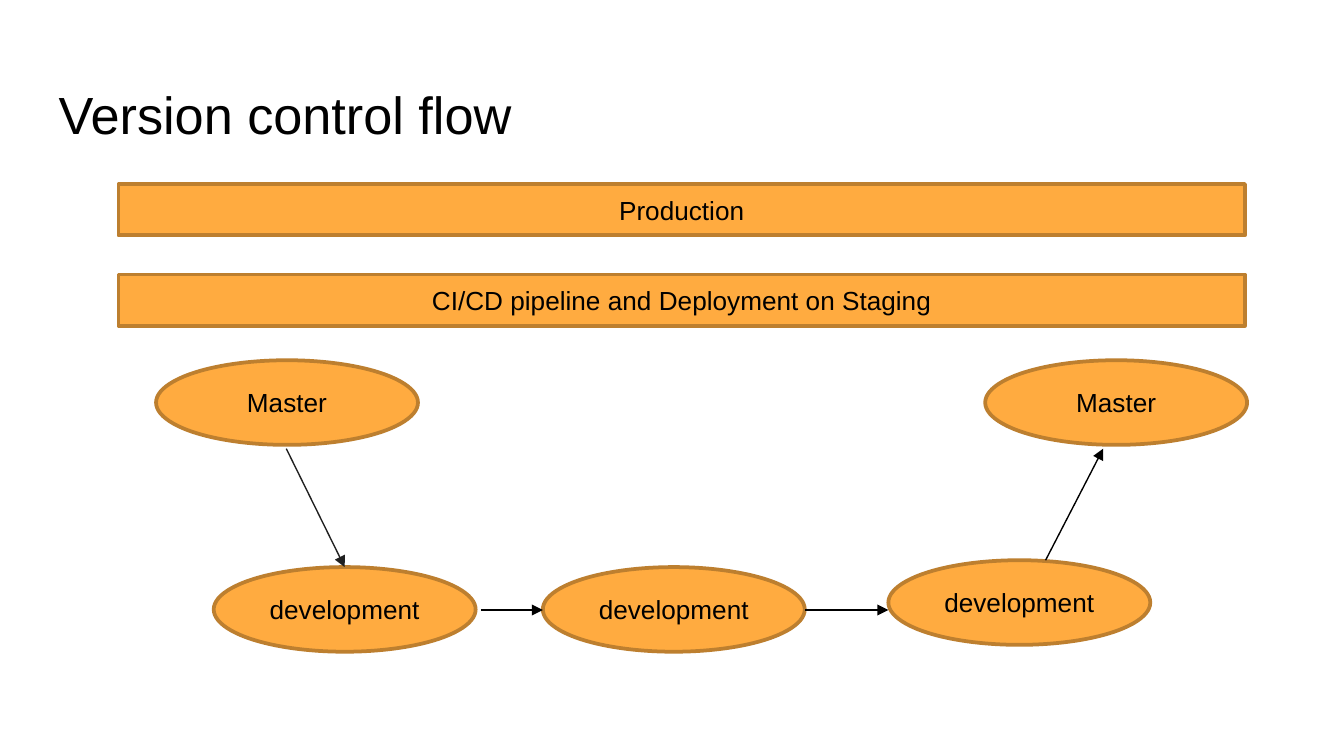
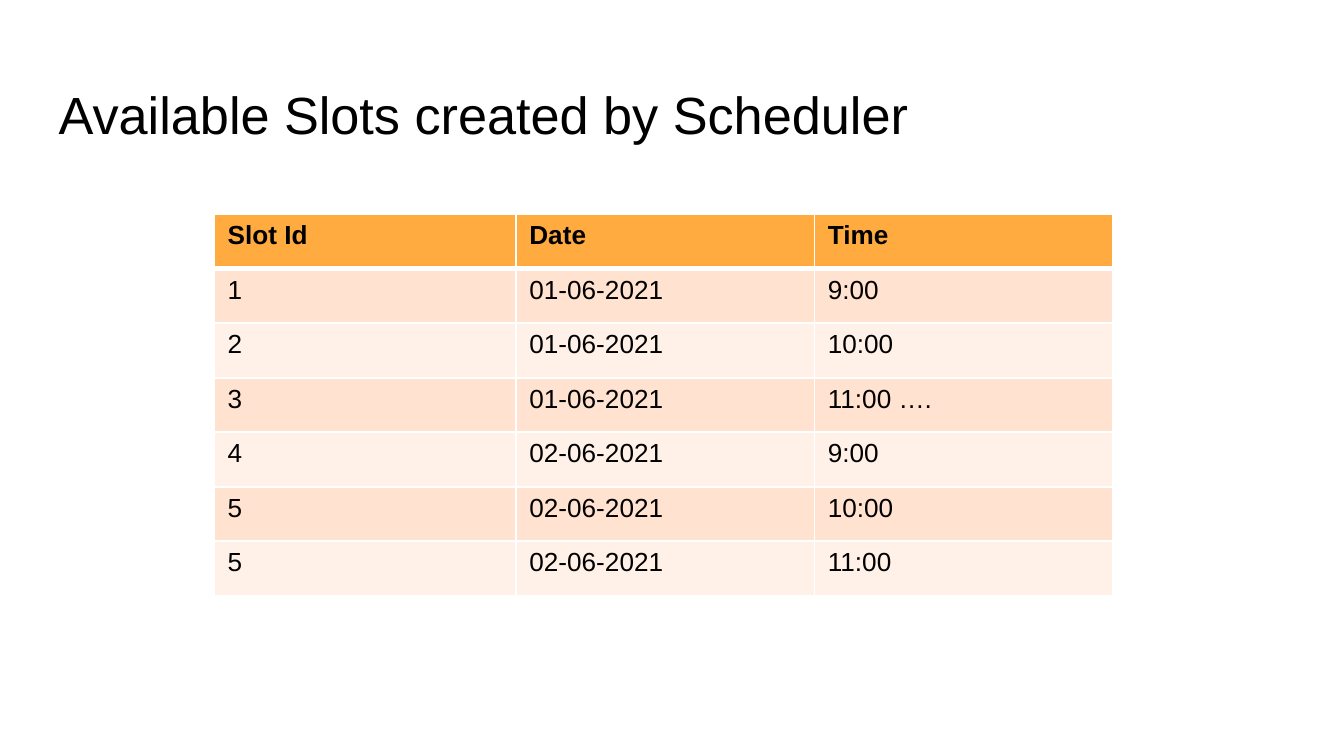
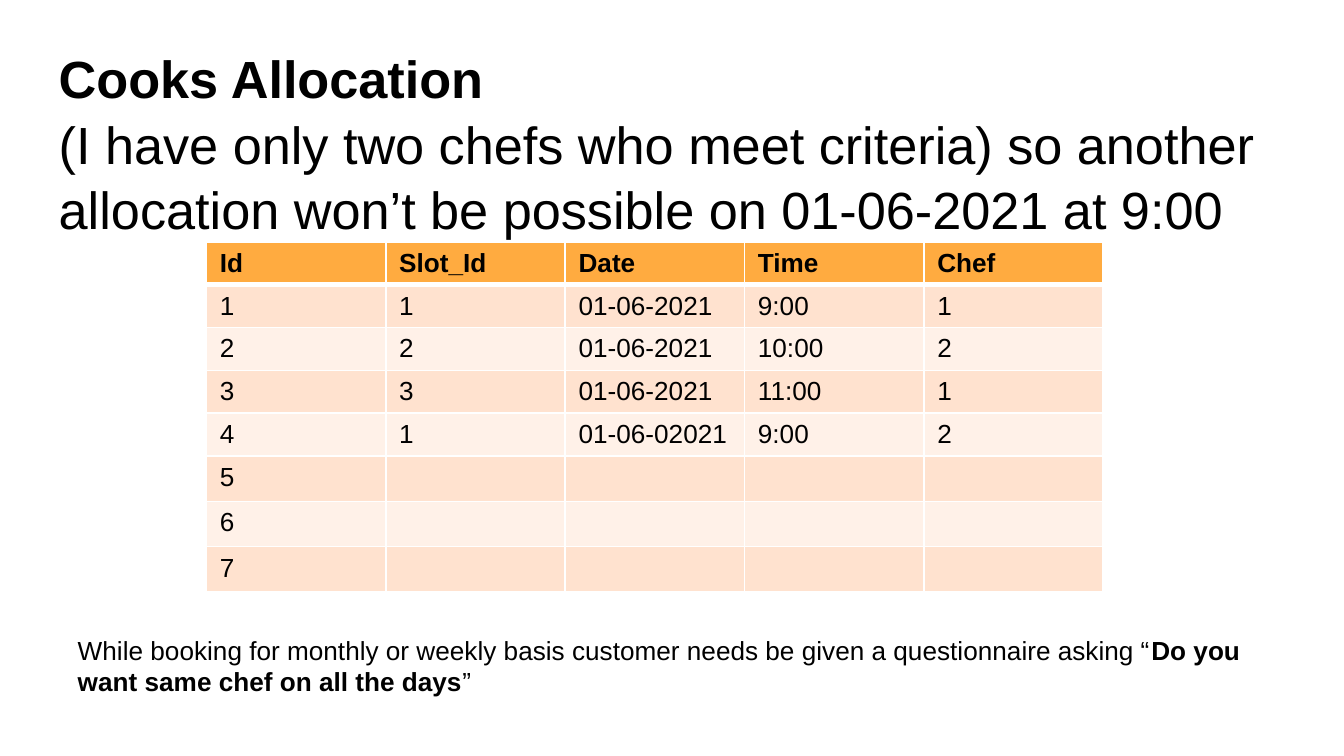
from lxml.etree import SubElement
from pptx import Presentation
from pptx.dml.color import RGBColor as RGB
from pptx.enum.shapes import MSO_CONNECTOR as CONN, MSO_SHAPE as SHAPE
from pptx.enum.text import MSO_ANCHOR as ANCHOR, MSO_AUTO_SIZE as AUTO, PP_ALIGN as ALIGN
from pptx.oxml.ns import qn
from pptx.util import Cm, Pt

FONT = "Arial"
COLORS = {
    "text": "000000",
    "accent": "FFAB40",
    "outline": "BD7F2F",
    "dark": "202020",
    "band1": "FFE2CF",
    "band2": "FFF1E8",
    "border": "FFFFFF",
}


def color(name):
    """Return the RGB value of a named colour."""
    return RGB.from_string(COLORS[name])


def add_run(p, text, size=14, bold=False):
    """Append one formatted run to a paragraph."""
    r = p.add_run()
    r.text = text
    r.font.name = FONT
    r.font.size = Pt(size)
    r.font.bold = bold
    r.font.color.rgb = color("text")


def add_slide(prs, lines, top=1.24, height=1.6):
    """Add a slide whose title has the given (text, bold) lines."""
    s = prs.slides.add_slide(prs.slide_layouts[5])
    sp = s.shapes.title
    sp.left, sp.top, sp.width, sp.height = Cm(0.86), Cm(top), Cm(23.67), Cm(height)
    tf = sp.text_frame
    tf.word_wrap = True
    tf.auto_size = AUTO.NONE
    tf.vertical_anchor = ANCHOR.TOP
    tf.margin_left = tf.margin_right = tf.margin_top = tf.margin_bottom = Cm(0.25)
    p = tf.paragraphs[0]
    p.alignment = ALIGN.LEFT
    p.line_spacing = 1.05
    for i, (text, bold) in enumerate(lines):
        if i:
            p.add_line_break()
        add_run(p, text, 28, bold)
    return s


def add_node(shapes, kind, text, left, top, width, height):
    """Add an orange outlined shape with a centred label."""
    sp = shapes.add_shape(kind, Cm(left), Cm(top), Cm(width), Cm(height))
    sp.shadow.inherit = False
    sp.fill.solid()
    sp.fill.fore_color.rgb = color("accent")
    sp.line.color.rgb = color("outline")
    sp.line.width = Pt(2)
    tf = sp.text_frame
    tf.word_wrap = True
    tf.vertical_anchor = ANCHOR.MIDDLE
    p = tf.paragraphs[0]
    p.alignment = ALIGN.CENTER
    add_run(p, text)
    return sp


def add_arrow(shapes, x1, y1, x2, y2, line="text"):
    """Add a thin straight arrow."""
    c = shapes.add_connector(CONN.STRAIGHT, Cm(x1), Cm(y1), Cm(x2), Cm(y2))
    c.line.color.rgb = color(line)
    c.line.width = Pt(0.75)
    SubElement(c.line._get_or_add_ln(), qn("a:tailEnd"), type="triangle")
    SubElement(c._element.spPr, qn("a:effectLst"))
    return c


def set_border(cell, side, width):
    """Draw one side of a cell's border."""
    ln = SubElement(cell._tc.get_or_add_tcPr(), qn(f"a:ln{side}"), w=str(Pt(width)))
    fill = SubElement(ln, qn("a:solidFill"))
    SubElement(fill, qn("a:srgbClr"), val=COLORS["border"])


def add_grid(s, rows, left, top, widths, row_height):
    """Add a banded table with a bold header row."""
    frame = s.shapes.add_table(len(rows), len(widths), Cm(left), Cm(top),
                               Cm(sum(widths)), Cm(row_height * len(rows)))
    table = frame.table
    for column, width in zip(table.columns, widths):
        column.width = Cm(width)
    for i, row in enumerate(rows):
        table.rows[i].height = Cm(row_height)
        band = "accent" if i == 0 else "band1" if i % 2 else "band2"
        for j in range(len(widths)):
            cell = table.cell(i, j)
            for side in "LRTB":
                thick = (i, side) in ((0, "B"), (1, "T"))
                set_border(cell, side, 3 if thick else 1)
            cell.fill.solid()
            cell.fill.fore_color.rgb = color(band)
            p = cell.text_frame.paragraphs[0]
            if j < len(row):
                add_run(p, row[j], bold=i == 0)
            else:
                SubElement(p._p, qn("a:endParaRPr"), sz="1400")


def add_note(s, runs, left, top, width, height):
    """Add a wrapped text box made of (text, bold) runs."""
    tf = s.shapes.add_textbox(Cm(left), Cm(top), Cm(width), Cm(height)).text_frame
    tf.word_wrap = True
    for text, bold in runs:
        add_run(tf.paragraphs[0], text, bold=bold)


def version_flow(prs):
    """Build the branch diagram slide."""
    s = add_slide(prs, [("Version control flow", False)])
    shapes = s.shapes.add_group_shape().shapes
    branches = [
        ("Master", 2.95, 6.81),
        ("Master", 18.62, 6.81),
        ("development", 4.04, 10.72),
        ("development", 10.26, 10.72),
        ("development", 16.79, 10.59),
    ]
    nodes = [add_node(shapes, SHAPE.OVAL, text, left, top, 4.95, 1.6)
             for text, left, top in branches]
    branch_off = add_arrow(shapes, 5.41, 8.48, 6.52, 10.72, "dark")
    branch_off.end_connect(nodes[2], 0)
    add_arrow(shapes, 9.09, 11.53, 10.26, 11.53)
    add_arrow(shapes, 15.21, 11.53, 16.79, 11.53)
    add_arrow(shapes, 19.76, 10.59, 20.85, 8.48)
    for text, top in (("CI/CD pipeline and Deployment on Staging", 5.19),
                      ("Production", 3.48)):
        add_node(s.shapes, SHAPE.RECTANGLE, text, 2.24, top, 21.29, 0.97)


def available_slots(prs):
    """Build the slot table slide."""
    s = add_slide(prs, [("Available Slots created by Scheduler", False)])
    rows = [
        ("Slot Id", "Date", "Time"),
        ("1", "01-06-2021", "9:00"),
        ("2", "01-06-2021", "10:00"),
        ("3", "01-06-2021", "11:00 …."),
        ("4", "02-06-2021", "9:00"),
        ("5", "02-06-2021", "10:00"),
        ("5", "02-06-2021", "11:00"),
    ]
    add_grid(s, rows, 4.05, 4.05, [5.7, 5.64, 5.64], 1.03)


def cooks_allocation(prs):
    """Build the chef allocation slide."""
    s = add_slide(prs, [
        ("Cooks Allocation ", True),
        ("(I have only two chefs who meet criteria) so another allocation "
         "won’t be possible on 01-06-2021 at 9:00", False),
    ], 0.56, 2.87)
    rows = [
        ("Id", "Slot_Id", "Date", "Time", "Chef"),
        ("1", "1", "01-06-2021", "9:00", "1"),
        ("2", "2", "01-06-2021", "10:00", "2"),
        ("3", "3", "01-06-2021", "11:00", "1"),
        ("4", "1", "01-06-02021", "9:00", "2"),
        ("5",),
        ("6",),
        ("7",),
    ]
    add_grid(s, rows, 3.9, 4.57, [3.39] * 5, 0.81)
    add_note(s, [
        ("While booking for monthly or weekly basis customer needs be given "
         "a questionnaire asking “", False),
        ("Do you want same chef on all the days", True),
        ("”", False),
    ], 1.22, 11.86, 23.32, 1.45)


def main():
    """Build and save the presentation."""
    prs = Presentation()
    prs.slide_width, prs.slide_height = Cm(25.4), Cm(14.29)
    version_flow(prs)
    available_slots(prs)
    cooks_allocation(prs)
    prs.save("out.pptx")


if __name__ == "__main__":
    main()
